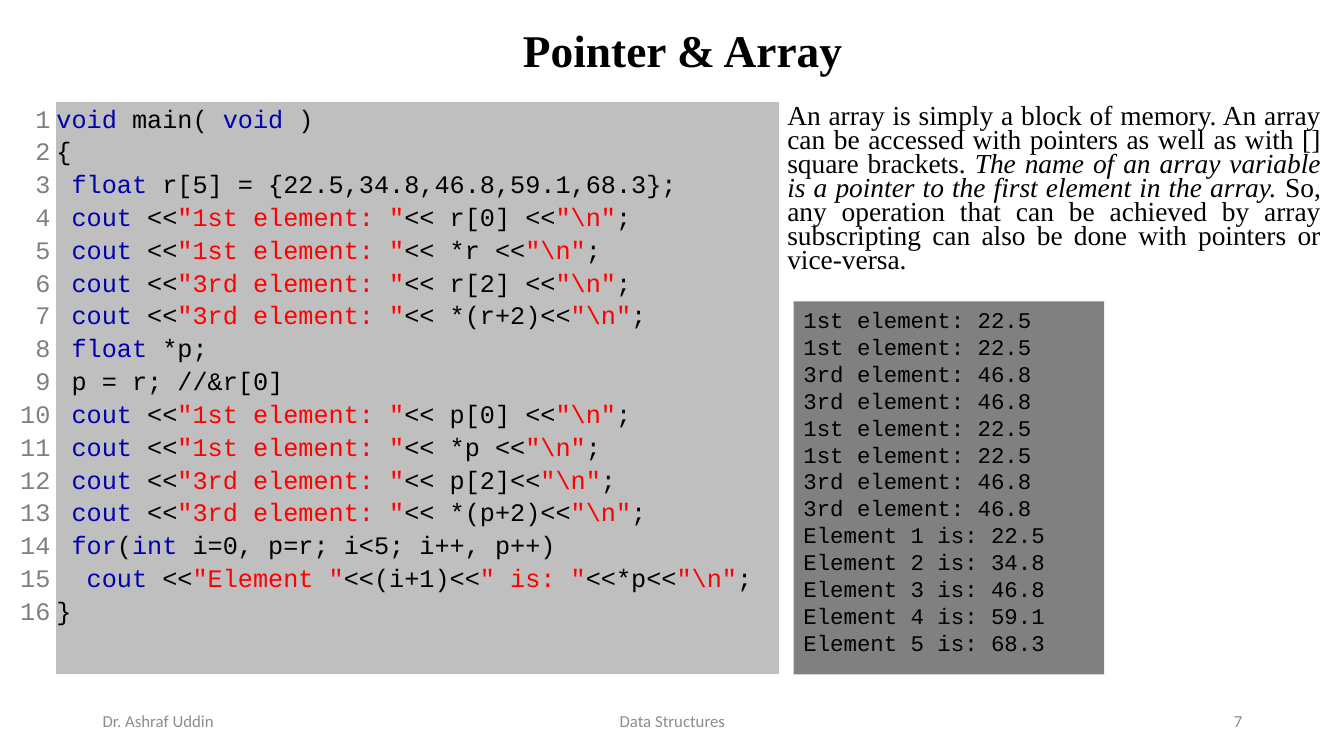
from pptx import Presentation
from pptx.dml.color import RGBColor
from pptx.enum.shapes import MSO_SHAPE as Shape
from pptx.enum.text import MSO_ANCHOR as Anchor, MSO_AUTO_SIZE as AutoSize, PP_ALIGN as Align
from pptx.util import Inches, Pt

COLOURS = {
    "text": "000000",
    "keyword": "0000B0",
    "string": "FF0000",
    "number": "808080",
    "code_fill": "BFBFBF",
    "output_fill": "808080",
    "footer": "8C8C8C",
}

# Backticks enclose keywords; quotation marks enclose strings
CODE = r'''`void `main( `void` )
{
 `float` r[5] = {22.5,34.8,46.8,59.1,68.3};
 `cout `<<"1st element: "<< r[0] <<"\n";
 `cout `<<"1st element: "<< *r <<"\n";
 `cout `<<"3rd element: "<< r[2] <<"\n";
 `cout `<<"3rd element: "<< *(r+2)<<"\n";
 `float `*p;
 p = r; //&r[0]
 `cout `<<"1st element: "<< p[0] <<"\n";
 `cout `<<"1st element: "<< *p <<"\n";
 `cout `<<"3rd element: "<< p[2]<<"\n";
 `cout `<<"3rd element: "<< *(p+2)<<"\n";
 `for`(`int `i=0, p=r; i<5; i++, p++)
  `cout` <<"Element "<<(i+1)<<" is: "<<*p<<"\n";
}'''.split("\n")

VALUES = [22.5, 34.8, 46.8, 59.1, 68.3]


def add_run(paragraph, text, size, font, colour="text", bold=False, italic=False):
    run = paragraph.add_run()
    run.text = text
    run.font.size = Pt(size)
    run.font.name = font
    run.font.bold = bold
    run.font.italic = italic
    run.font.color.rgb = RGBColor.from_string(COLOURS[colour])


def next_paragraph(frame, index, align=Align.LEFT, spacing=1.0):
    paragraph = frame.add_paragraph() if index else frame.paragraphs[0]
    paragraph.alignment = align
    paragraph.line_spacing = spacing
    return paragraph


presentation = Presentation()
presentation.slide_width = Inches(13.33)
presentation.slide_height = Inches(7.5)
slide = presentation.slides.add_slide(presentation.slide_layouts[5])

# Title
title = slide.shapes.title
title.left, title.top = Inches(1.02), Inches(0.29)
title.width, title.height = Inches(11.5), Inches(0.47)
title.text_frame.auto_size = AutoSize.NONE
title.text_frame.vertical_anchor = Anchor.MIDDLE
paragraph = next_paragraph(title.text_frame, 0, Align.CENTER, 0.9)
add_run(paragraph, "Pointer & Array", 32.4, "Times New Roman", bold=True)

# Explanation
explanation = slide.shapes.add_textbox(Inches(7.71), Inches(1.01), Inches(5.49), Inches(1.97))
explanation.text_frame.word_wrap = True
paragraph = next_paragraph(explanation.text_frame, 0, Align.JUSTIFY, 0.73)
paragraph.space_before = Pt(10)
for text, italic in [
    ("An array is simply a block of memory. An array can be accessed with pointers "
     "as well as with [] square brackets. ", False),
    ("The name of an array variable is a pointer to the first element in the array.", True),
    (" So, any operation that can be achieved by array subscripting can also be done "
     "with pointers or vice-versa.", False),
]:
    add_run(paragraph, text, 19.6, "Times New Roman", italic=italic)

# Code table: line numbers and listing
table = slide.shapes.add_table(
    1, 2, Inches(0.03), Inches(1.01), Inches(7.7), Inches(5.68)).table
table.first_row = False
table.horz_banding = False
table.columns[0].width = Inches(0.52)
table.columns[1].width = Inches(7.18)
number_cell, code_cell = table.cell(0, 0), table.cell(0, 1)
for cell, left, right in [(number_cell, 0.02, 0.05), (code_cell, 0.01, 0.01)]:
    cell.margin_left, cell.margin_right = Inches(left), Inches(right)
    cell.margin_top = cell.margin_bottom = Inches(0.01)
number_cell.fill.background()
code_cell.fill.solid()
code_cell.fill.fore_color.rgb = RGBColor.from_string(COLOURS["code_fill"])

for index, line in enumerate(CODE):
    paragraph = next_paragraph(number_cell.text_frame, index, Align.RIGHT, 1.15)
    add_run(paragraph, str(index + 1), 18, "Courier New", "number")
    paragraph = next_paragraph(code_cell.text_frame, index, spacing=1.15)
    for part_index, part in enumerate(line.split("`")):
        if part_index % 2:
            add_run(paragraph, part, 18, "Courier New", "keyword")
            continue
        for piece_index, piece in enumerate(part.split('"')):
            if piece_index % 2:
                add_run(paragraph, f'"{piece}"', 18, "Courier New", "string")
            elif piece:
                add_run(paragraph, piece, 18, "Courier New")

# Program output
output = slide.shapes.add_shape(
    Shape.RECTANGLE, Inches(7.87), Inches(2.99), Inches(3.08), Inches(3.7))
output.shadow.inherit = False
output.fill.solid()
output.fill.fore_color.rgb = RGBColor.from_string(COLOURS["output_fill"])
output.line.fill.background()
output.text_frame.vertical_anchor = Anchor.TOP
output.text_frame.word_wrap = True
output_lines = (["1st element: 22.5"] * 2 + ["3rd element: 46.8"] * 2) * 2
output_lines += [f"Element {number} is: {value}" for number, value in enumerate(VALUES, 1)]
for index, line in enumerate(output_lines):
    add_run(next_paragraph(output.text_frame, index), line, 16, "Courier New")

# Footer
for text, left, width, align in [
    ("Dr. Ashraf Uddin", 0.92, 3, Align.LEFT),
    ("Data Structures", 4.42, 4.5, Align.CENTER),
    ("7", 9.42, 3, Align.RIGHT),
]:
    footer = slide.shapes.add_textbox(Inches(left), Inches(6.95), Inches(width), Inches(0.4))
    footer.text_frame.word_wrap = True
    footer.text_frame.vertical_anchor = Anchor.MIDDLE
    add_run(next_paragraph(footer.text_frame, 0, align), text, 12, "Calibri", "footer")

presentation.save("out.pptx")
